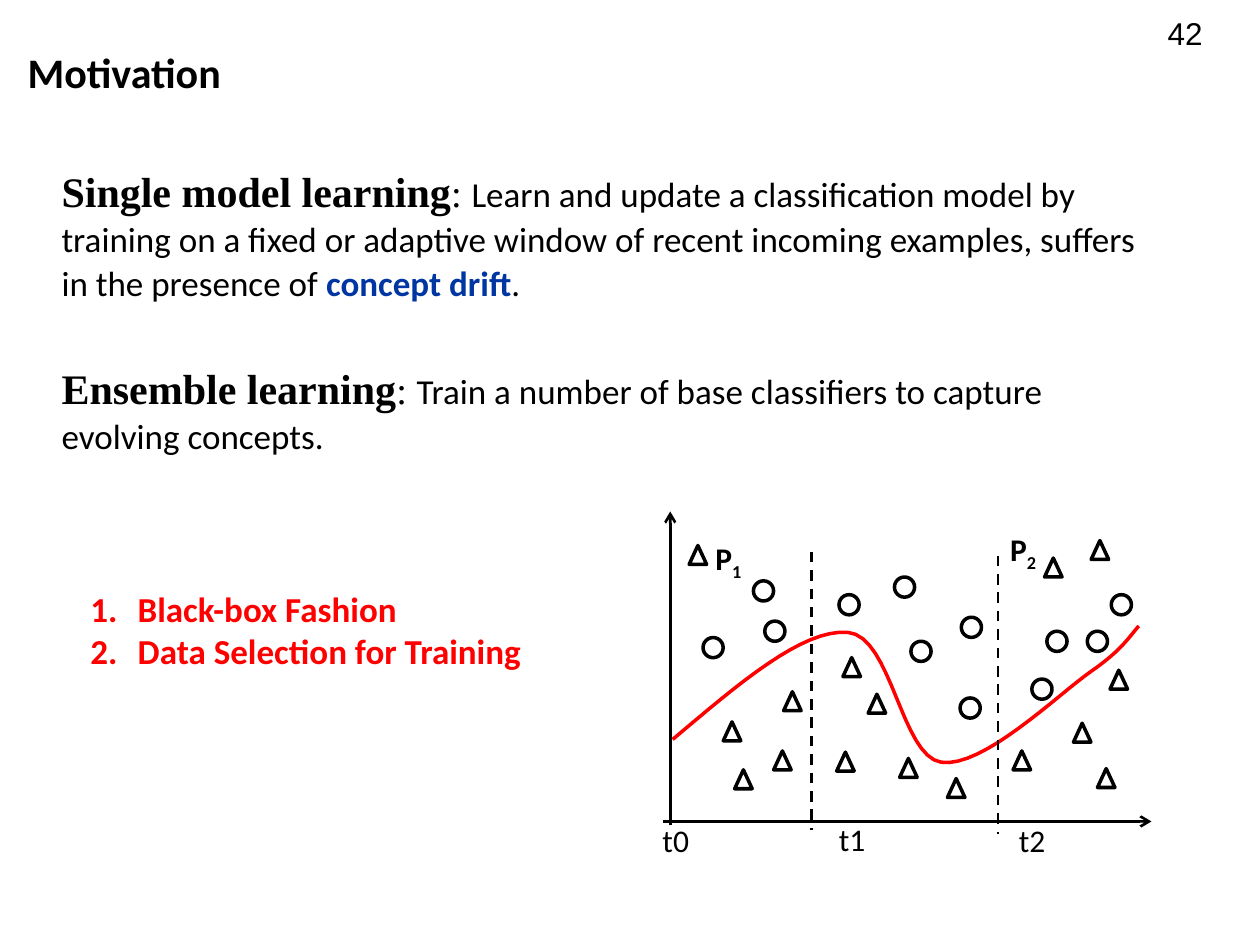
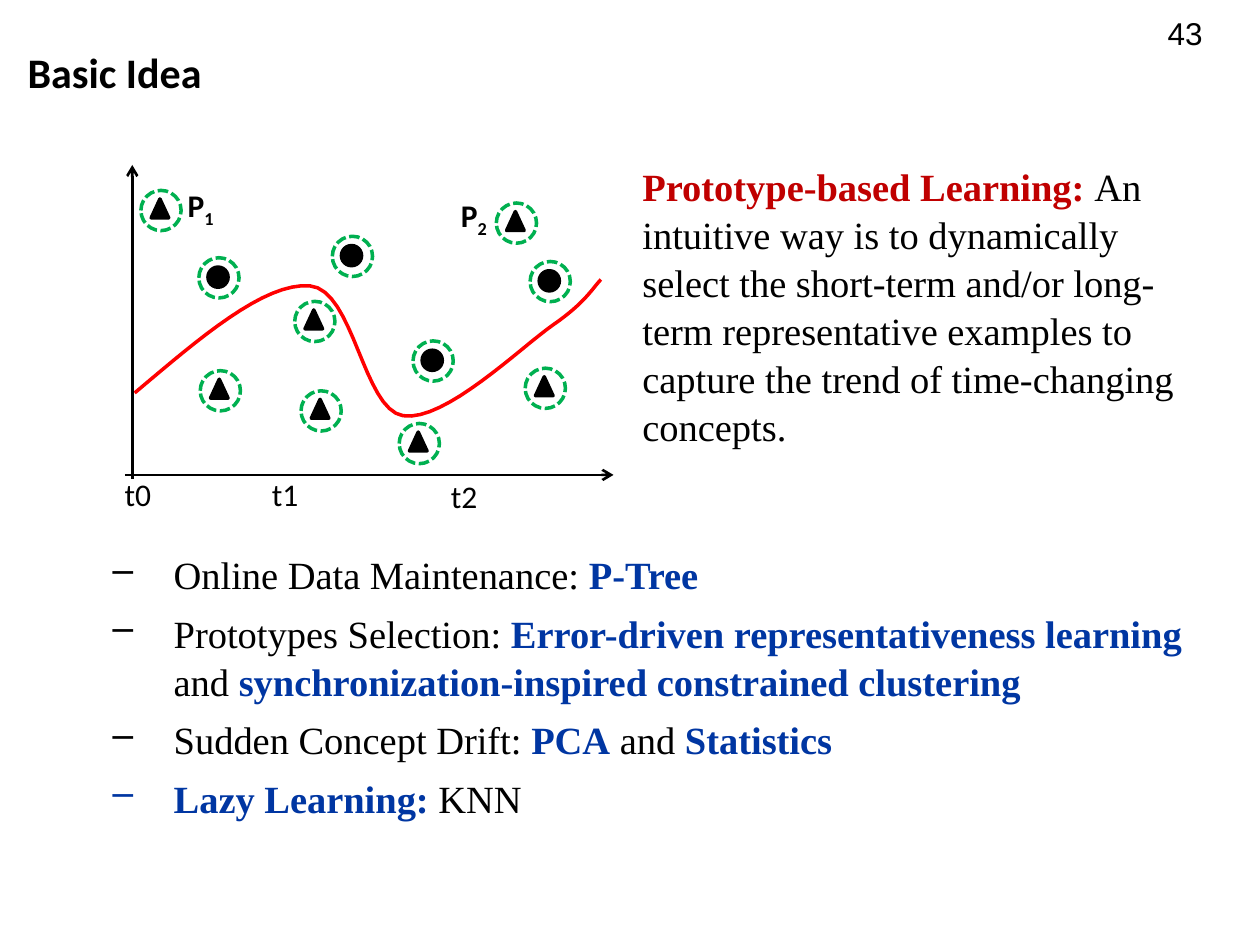
from dataclasses import dataclass, field
from typing import NamedTuple, Optional

from lxml import etree
from pptx import Presentation
from pptx import util as u
from pptx.dml import color
from pptx.enum import dml, shapes, text
from pptx.oxml import ns


# Shared look
@dataclass(frozen=True)
class Theme:
    black: str = "000000"
    blue: str = "0036A2"
    red: str = "FF0000"
    dark_red: str = "C00000"
    green: str = "00B050"
    sans: str = "Calibri"
    serif: str = "Times New Roman"
    number_font: str = "Arial"
    heading: float = 24
    lead: float = 22
    body: float = 20
    label: float = 18
    leading: float = 1.04
    thin: float = 1.5
    thick: float = 2


THEME = Theme()


class Point(NamedTuple):
    x: float
    y: float


class Box(NamedTuple):
    left: float
    top: float
    width: float
    height: float


class Run(NamedTuple):
    content: str
    size: float = THEME.lead
    font: str = THEME.serif
    color: str = THEME.black
    bold: bool = False
    subscript: bool = False


@dataclass(frozen=True)
class MarkStyle:
    preset: shapes.MSO_SHAPE
    width: float
    height: float
    ring_shift: Point


@dataclass
class Plot:
    """A drift plot; every position is relative to the tip of its upright axis."""
    origin: Point
    circles: list[Point]
    triangles: list[Point]
    labels: dict[str, Point]
    filled: bool = False
    ringed: bool = False
    boundaries: list[tuple[Point, Point]] = field(default_factory=list)


CIRCLE = MarkStyle(shapes.MSO_SHAPE.OVAL, 11.5, 11.5, Point(0.5, 0.4))
TRIANGLE = MarkStyle(shapes.MSO_SHAPE.ISOSCELES_TRIANGLE, 10, 10.8, Point(0.6, 1.2))
RING_SIZE = 23

# Concept curve: a start point, then three points for each Bezier piece
CURVE = [Point(*pair) for pair in (
    (1.4, 130.3), (38.9, 98.6), (75.6, 67), (101.5, 69.1),
    (126.7, 71.3), (131.8, 139.7), (154.8, 143.3),
    (178.6, 146.9), (221.8, 104.4), (240.5, 91.4),
    (259.2, 78.5), (263.5, 69.8), (267.8, 65.5))]
CURVE_STEPS = 16
AXES = [(Point(-4.3, 177.1), Point(275, 177.1)),
        (Point(0, 179.3), Point(0, 0))]


def points(*pairs: tuple[float, float]) -> list[Point]:
    return [Point(*pair) for pair in pairs]


def rgb(value: str) -> color.RGBColor:
    return color.RGBColor.from_string(value)


def shifted(point: Point, offset: Point) -> Point:
    return Point(point.x + offset.x, point.y + offset.y)


# Text
def add_run(paragraph, content: str, *, size: float, font: str, color: str,
            bold: bool = False, subscript: bool = False) -> None:
    run = paragraph.add_run()
    run.text = content
    run.font.size = u.Pt(size)
    run.font.name = font
    run.font.bold = bold
    run.font.color.rgb = rgb(color)
    if subscript:
        run.font._element.set("baseline", "-25000")


def set_bullet(paragraph, indent: float, tag: str, **attributes: str) -> None:
    properties = paragraph._p.get_or_add_pPr()
    properties.set("marL", str(u.Pt(indent)))
    properties.set("indent", str(-u.Pt(indent)))
    etree.SubElement(properties, ns.qn(tag), attributes)


def fill_frame(frame, paragraphs: list[list[Run]], *, leading: float = 1.0,
               after: float = 0, indent: float = 0,
               bullet: Optional[dict] = None) -> None:
    frame.word_wrap = True
    frame.vertical_anchor = text.MSO_ANCHOR.TOP
    for index, runs in enumerate(paragraphs):
        paragraph = frame.add_paragraph() if index else frame.paragraphs[0]
        if bullet:
            set_bullet(paragraph, indent, **bullet)
        paragraph.alignment = text.PP_ALIGN.LEFT
        paragraph.line_spacing = leading
        paragraph.space_after = u.Pt(after)
        for run in runs:
            add_run(paragraph, run.content, **{
                name: value for name, value in run._asdict().items()
                if name != "content"})


def add_text(slide, box: Box, paragraphs: list[list[Run]], **layout) -> None:
    shape = slide.shapes.add_textbox(*map(u.Pt, box))
    fill_frame(shape.text_frame, paragraphs, **layout)


# Plot parts
def add_mark(slide, center: Point, preset: shapes.MSO_SHAPE, width: float,
             height: float, *, line: str, fill: Optional[str] = None,
             dash: Optional[dml.MSO_LINE] = None) -> None:
    box = Box(center.x - width / 2, center.y - height / 2, width, height)
    shape = slide.shapes.add_shape(preset, *map(u.Pt, box))
    shape.shadow.inherit = False
    if fill:
        shape.fill.solid()
        shape.fill.fore_color.rgb = rgb(fill)
    else:
        shape.fill.background()
    shape.line.color.rgb = rgb(line)
    shape.line.width = u.Pt(THEME.thick)
    if dash:
        shape.line.dash_style = dash


def add_line(slide, start: Point, end: Point, *, arrow: bool = False,
             dash: Optional[dml.MSO_LINE] = None) -> None:
    connector = slide.shapes.add_connector(
        shapes.MSO_CONNECTOR.STRAIGHT, *map(u.Pt, (*start, *end)))
    connector.line.color.rgb = rgb(THEME.black)
    connector.line.width = u.Pt(THEME.thin)
    if dash:
        connector.line.dash_style = dash
    if arrow:
        etree.SubElement(connector.line._get_or_add_ln(), ns.qn("a:tailEnd"), type="arrow")
    etree.SubElement(connector._element.spPr, ns.qn("a:effectLst"))


def bezier(a: Point, b: Point, c: Point, d: Point, t: float) -> Point:
    weights = ((1 - t) ** 3, 3 * t * (1 - t) ** 2, 3 * t ** 2 * (1 - t), t ** 3)
    return Point(*(sum(w * v for w, v in zip(weights, values))
                   for values in zip(a, b, c, d)))


def add_curve(slide, origin: Point) -> None:
    controls = [shifted(point, origin) for point in CURVE]
    vertices = [bezier(*controls[first:first + 4], step / CURVE_STEPS)
                for first in range(0, len(controls) - 1, 3)
                for step in range(1, CURVE_STEPS + 1)]
    builder = slide.shapes.build_freeform(*map(u.Pt, controls[0]))
    builder.add_line_segments([tuple(map(u.Pt, vertex)) for vertex in vertices], close=False)
    shape = builder.convert_to_shape()
    shape.shadow.inherit = False
    shape.fill.background()
    shape.line.color.rgb = rgb(THEME.red)
    shape.line.width = u.Pt(THEME.thick)


def add_plot(slide, plot: Plot) -> None:
    add_curve(slide, plot.origin)
    for start, end in plot.boundaries:
        add_line(slide, shifted(start, plot.origin), shifted(end, plot.origin),
                 dash=dml.MSO_LINE.DASH)
    for start, end in AXES:
        add_line(slide, shifted(start, plot.origin), shifted(end, plot.origin), arrow=True)
    for style, centers in ((CIRCLE, plot.circles), (TRIANGLE, plot.triangles)):
        for relative in centers:
            center = shifted(relative, plot.origin)
            add_mark(slide, center, style.preset, style.width, style.height,
                     line=THEME.black, fill=THEME.black if plot.filled else None)
            if plot.ringed:
                add_mark(slide, shifted(center, style.ring_shift), shapes.MSO_SHAPE.OVAL,
                         RING_SIZE, RING_SIZE, line=THEME.green,
                         dash=dml.MSO_LINE.SQUARE_DOT)
    for name, relative in plot.labels.items():
        letter, digit = name
        label = Run(name, THEME.label, THEME.sans)
        runs = [label]
        if letter == "P":
            runs = [label._replace(content=letter, bold=True),
                    label._replace(content=digit, bold=True, subscript=True)]
        add_text(slide, Box(*shifted(relative, plot.origin), 58, 29), [runs])


# Slides
def add_slide(presentation, title: str, number: int):
    slide = presentation.slides.add_slide(presentation.slide_layouts[5])
    shape = slide.shapes.title
    shape.left, shape.top, shape.width, shape.height = map(u.Pt, (8.6, 20.2, 221, 36.7))
    fill_frame(shape.text_frame, [[Run(title, THEME.heading, THEME.sans, bold=True)]],
               leading=1.1)
    shape.text_frame.auto_size = text.MSO_AUTO_SIZE.NONE
    add_text(slide, Box(660.2, 0, 59.8, 28.8),
             [[Run(str(number), THEME.label, THEME.number_font)]], leading=1.2)
    return slide


def build_motivation(presentation) -> None:
    slide = add_slide(presentation, "Motivation", 42)
    heading = Run("", THEME.heading, bold=True)
    body = Run("", THEME.body, THEME.sans)
    add_text(slide, Box(28.1, 90, 635.8, 103), [[
        heading._replace(content="Single model learning"), Run(": "),
        body._replace(content="Learn and update a classification model by training on a fixed "
                      "or adaptive window of recent incoming examples, suffers in the "
                      "presence of "),
        body._replace(content="concept drift", color=THEME.blue, bold=True),
        body._replace(content=".")]], leading=THEME.leading)
    add_text(slide, Box(28.1, 202.3, 646.6, 71.3), [[
        heading._replace(content="Ensemble learning"), Run(": "),
        body._replace(content="Train a number of base classifiers to capture evolving "
                      "concepts.")]], leading=THEME.leading)
    add_text(slide, Box(44.6, 331.9, 315.4, 77.8),
             [[body._replace(content=item, color=THEME.red, bold=True)]
              for item in ("Black-box Fashion", "Data Selection for Training")],
             indent=27, bullet={"tag": "a:buAutoNum", "type": "arabicPeriod"})
    add_plot(slide, Plot(
        origin=Point(383, 292.3),
        circles=points(
            (24.5, 77.8), (102.2, 53.3), (53.3, 45.4), (59.8, 68.4), (133.9, 43.2),
            (171.4, 112.3), (143.3, 79.9), (221, 74.2), (212.4, 101.5), (172.1, 66.2),
            (244.1, 74.2), (257.8, 53.3)),
        triangles=points(
            (35.3, 125.6), (41.8, 153), (69.8, 108.4), (103.7, 88.9), (100.1, 142.9),
            (64.1, 142.2), (118.1, 109.8), (136.1, 146.5), (163.4, 158), (200.9, 142.2),
            (235.4, 126.4), (256.3, 96.1), (249.1, 152.3), (218.9, 32), (245.5, 22),
            (15.8, 24.8)),
        labels={"P1": Point(18.7, 12.2), "P2": Point(187.2, 7.2), "t0": Point(-11.5, 173.5),
                "t1": Point(89.3, 172.8), "t2": Point(192.2, 173.5)},
        boundaries=[(Point(80.6, 23), Point(80.6, 182.2)),
                    (Point(187.2, 25.2), Point(187.2, 184.3))]))


def build_basic_idea(presentation) -> None:
    slide = add_slide(presentation, "Basic Idea", 43)
    key = Run("", color=THEME.blue, bold=True)
    add_text(slide, Box(56.2, 310.3, 652.3, 185), [
        [Run("Online Data Maintenance: "), key._replace(content="P-Tree")],
        [Run("Prototypes Selection: "),
         key._replace(content="Error-driven representativeness learning "), Run("and "),
         key._replace(content="synchronization-inspired constrained clustering")],
        [Run("Sudden Concept Drift: "), key._replace(content="PCA"), Run(" and "),
         key._replace(content="Statistics")],
        [key._replace(content="Lazy Learning: "), Run("KNN")],
    ], leading=THEME.leading, after=6, indent=36, bullet={"tag": "a:buChar", "char": "‒"})
    add_text(slide, Box(360, 88.6, 320.4, 199.4), [[
        Run("Prototype-based Learning: ", color=THEME.dark_red, bold=True),
        Run("An intuitive way is to dynamically select the short-term and/or long-term "
            "representative examples to capture the trend of time-changing concepts.")]],
        leading=THEME.leading)
    add_plot(slide, Plot(
        origin=Point(75.6, 94.3),
        circles=points((49, 64.1), (125.3, 51.8), (171.4, 111.6), (238.3, 66.2)),
        triangles=points((103.7, 88.2), (107.3, 139.3), (49.7, 127.8), (163.4, 158),
                         (235.4, 126.4), (218.9, 32), (15.8, 24.8)),
        labels={"P1": Point(24.5, 8.6), "P2": Point(180.7, 14.4), "t0": Point(-11.5, 173.5),
                "t1": Point(72.7, 173.5), "t2": Point(175, 175)},
        filled=True, ringed=True))


def main() -> None:
    presentation = Presentation()
    presentation.slide_width, presentation.slide_height = u.Pt(720), u.Pt(540)
    build_motivation(presentation)
    build_basic_idea(presentation)
    presentation.save("out.pptx")


if __name__ == "__main__":
    main()
